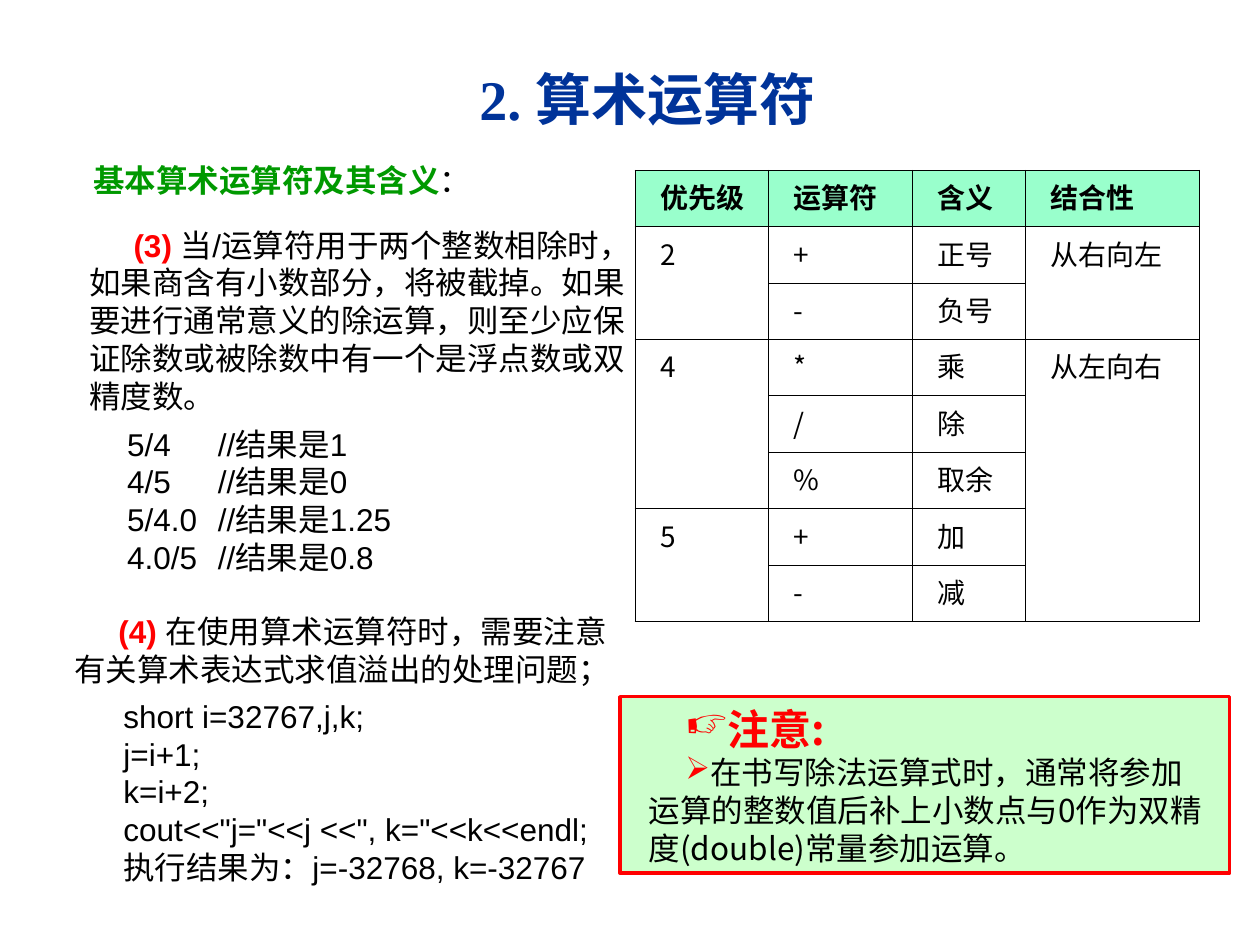
from lxml.etree import SubElement
from pptx import Presentation
from pptx.dml.color import RGBColor
from pptx.enum.shapes import MSO_SHAPE as Shape
from pptx.enum.text import MSO_ANCHOR as Anchor, PP_ALIGN as Align
from pptx.oxml.ns import qn
from pptx.util import Inches, Pt

COLORS = {"black": "000000", "blue": "003399", "green": "009900", "red": "FF0000",
          "mint": "99FFCC", "pale": "CCFFCC"}
CJK = "Noto Sans CJK SC"
UNIT = 0.1  # grid of 100 columns by 75 rows on a 10 x 7.5 inch slide


def color(name):
    return RGBColor.from_string(COLORS[name])


def grid(*steps):
    return [Inches(round(step * UNIT, 3)) for step in steps]


def add_text(para, text, size=18, font="Arial", ink="black", bold=False):
    span = para.add_run()
    span.text = text
    span.font.size, span.font.bold, span.font.name = Pt(size), bold, font
    span.font.color.rgb = color(ink)
    SubElement(span.font._element, qn("a:ea"), typeface=CJK)


class Slide:
    def __init__(self, deck):
        self.page = deck.slides.add_slide(deck.slide_layouts[5])

    def frame(self, box, insets=(2, 0.9, 1.8, 0.9)):
        """Set the wrapping, anchor and insets that every text box shares."""
        frame = box.text_frame
        frame.word_wrap, frame.vertical_anchor = True, Anchor.MIDDLE
        (frame.margin_left, frame.margin_top,
         frame.margin_right, frame.margin_bottom) = grid(*insets)
        return frame

    def indent(self, para, steps):
        props = para._p.get_or_add_pPr()
        props.set("marL", "0")
        props.set("indent", str(grid(steps)[0]))
        return props

    def title(self, place, spans):
        box = self.page.shapes.title
        box.left, box.top, box.width, box.height = grid(*place)
        para = self.frame(box, (1, 0.5, 1, 0.5)).paragraphs[0]
        para.alignment = Align.CENTER
        for text, font in spans:
            add_text(para, text, size=32, font=font, ink="blue", bold=True)

    def paragraph(self, place, lead, text, ink="red", indent=3.5):
        """A paragraph opening with a bold coloured lead."""
        box = self.page.shapes.add_textbox(*grid(*place))
        para = self.frame(box).paragraphs[0]
        self.indent(para, indent)
        add_text(para, lead, ink=ink, bold=True)
        add_text(para, text)

    def code(self, place, lines, tab=7.2):
        box = self.page.shapes.add_textbox(*grid(*place))
        frame = self.frame(box)
        for number, line in enumerate(lines):
            para = frame.add_paragraph() if number else frame.paragraphs[0]
            stops = SubElement(para._p.get_or_add_pPr(), qn("a:tabLst"))
            SubElement(stops, qn("a:tab"), pos=str(grid(tab)[0]), algn="l")
            add_text(para, line)

    def note(self, place, items):
        box = self.page.shapes.add_shape(Shape.RECTANGLE, *grid(*place))
        box.shadow.inherit = False
        box.fill.solid()
        box.fill.fore_color.rgb = color("pale")
        box.line.color.rgb, box.line.width = color("red"), Pt(2)
        frame = self.frame(box, (2.3, 0.5, 2, 0.5))
        for number, (bullet, text, style) in enumerate(items):
            para = frame.add_paragraph() if number else frame.paragraphs[0]
            para.alignment = Align.LEFT
            props = self.indent(para, 2.9)
            tint = SubElement(props, qn("a:buClr"))
            SubElement(tint, qn("a:srgbClr"), val=COLORS["red"])
            SubElement(props, qn("a:buChar"), char=bullet)
            add_text(para, text, font=CJK, **style)

    def border(self, cell):
        props = cell._tc.get_or_add_tcPr()
        for index, side in enumerate(("a:lnL", "a:lnR", "a:lnT", "a:lnB")):
            line = props.makeelement(qn(side), {"w": str(Pt(0.45))})
            fill = SubElement(line, qn("a:solidFill"))
            SubElement(fill, qn("a:srgbClr"), val=COLORS["black"])
            props.insert(index, line)

    def table(self, corner, widths, height, rows, merges):
        place = grid(*corner, sum(widths), height * len(rows))
        table = self.page.shapes.add_table(len(rows), len(widths), *place).table
        table.horz_banding = False
        for column, width in zip(table.columns, grid(*widths)):
            column.width = width
        for r, row in enumerate(rows):
            table.rows[r].height = grid(height)[0]
            for c, text in enumerate(row):
                cell = table.cell(r, c)
                (cell.margin_left, cell.margin_top,
                 cell.margin_right, cell.margin_bottom) = grid(2, 0.5, 1.8, 0.5)
                if r == 0:
                    cell.fill.solid()
                    cell.fill.fore_color.rgb = color("mint")
                else:
                    cell.fill.background()
                self.border(cell)
                if text:
                    font = CJK if r and c < 2 else "Times New Roman"
                    add_text(cell.text_frame.paragraphs[0], text, size=16,
                             font=font, bold=r == 0)
        for column, first, last in merges:
            table.cell(first, column).merge(table.cell(last, column))


def main():
    deck = Presentation()
    deck.slide_width, deck.slide_height = grid(100, 75)
    slide = Slide(deck)

    # Title and heading
    slide.title((6.3, 4.8, 90.2, 5.9),
                [("2. ", "Times New Roman"), ("算术运算符", "Arial")])
    slide.paragraph((4.7, 11.9, 92.5, 4.8), "基本算术运算符及其含义", "：",
                    ink="green", indent=0.7)

    # Operator table: merges are column, first row, last row
    slide.table((50.4, 13.5), (10.6, 11.4, 9, 13.8), 4.48, [
        ("优先级", "运算符", "含义", "结合性"),
        ("2", "+", "正号", "从右向左"),
        ("", "-", "负号", ""),
        ("4", "*", "乘", "从左向右"),
        ("", "/", "除", ""),
        ("", "%", "取余", ""),
        ("5", "+", "加", ""),
        ("", "-", "减", ""),
    ], [(0, 1, 2), (0, 3, 5), (0, 6, 7), (3, 1, 2), (3, 3, 7)])

    # Points three and four with their code
    slide.paragraph((5.1, 17, 46.5, 16.8), "(3) ",
                    "当/运算符用于两个整数相除时，如果商含有小数部分，将被截掉。"
                    "如果要进行通常意义的除运算，则至少应保证除数或被除数中"
                    "有一个是浮点数或双精度数。")
    slide.code((8.1, 32.8, 30, 13.8), [
        "5/4\t//结果是1", "4/5\t//结果是0",
        "5/4.0\t//结果是1.25", "4.0/5\t//结果是0.8"])
    slide.paragraph((3.9, 47.7, 47.7, 7.8), "(4) ",
                    "在使用算术运算符时，需要注意有关算术表达式求值溢出的处理问题；")
    slide.code((7.8, 54.4, 43, 16.8), [
        "short i=32767,j,k;", "j=i+1;", "k=i+2;",
        'cout<<"j="<<j <<", k="<<k<<endl;',
        "执行结果为：j=-32768, k=-32767"])

    # Note box
    slide.note((49.2, 55.3, 48.4, 14), [
        ("☞", "注意:", {"size": 24, "ink": "red", "bold": True}),
        ("➢", "在书写除法运算式时，通常将参加运算的整数值后补上小数点与0"
              "作为双精度(double)常量参加运算。", {})])

    deck.save("out.pptx")


if __name__ == "__main__":
    main()
